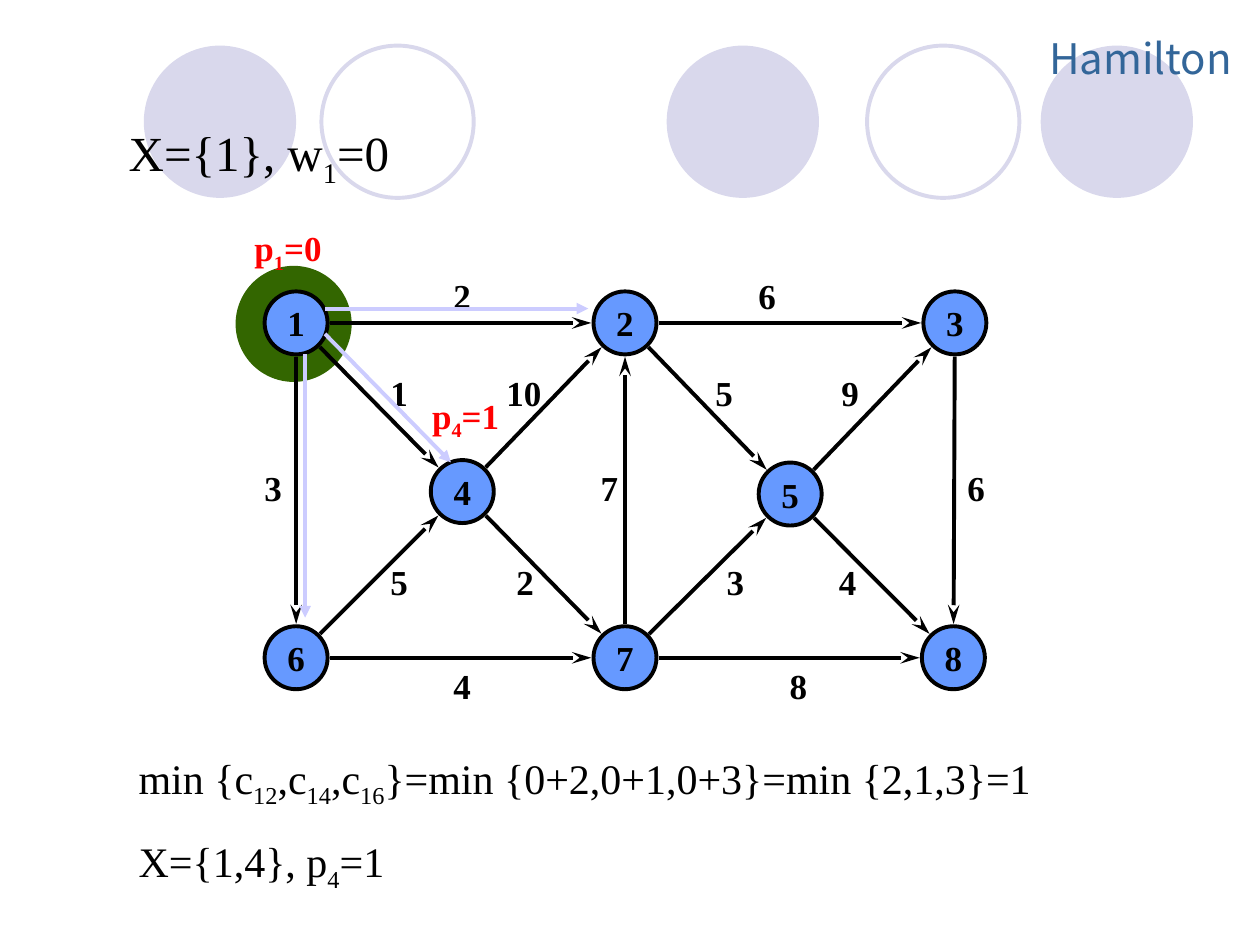
import math

from lxml import etree
from pptx import Presentation
from pptx import util as u
from pptx.dml.color import RGBColor
from pptx.enum import shapes, text
from pptx.oxml.ns import qn

COLORS = {"lilac": "D9D8EC", "brand": "336699", "halo": "336600", "node": "6699FF",
          "ink": "000000", "label": "FF0000", "trace": "CCCCFF"}
SERIF = "Times New Roman"
NODE_SIZE = 1.27
EDGE_TRIM = 0.68
NODES = {1: (0.64, 0.64), 2: (7.27, 0.64), 3: (13.92, 0.64), 4: (3.99, 4.04),
         5: (10.6, 4.09), 6: (0.64, 7.39), 7: (7.27, 7.39), 8: (13.89, 7.39)}
EDGES = [(1, 2, 2, 3.56, -0.46), (2, 3, 6, 9.71, -0.46),
         (1, 4, 1, 2.29, 1.5), (4, 2, 10, 4.63, 1.5),
         (2, 5, 5, 8.84, 1.5), (5, 3, 9, 11.38, 1.5),
         (1, 6, 3, -0.25, 3.4), (7, 2, 7, 6.53, 3.4), (3, 8, 6, 13.92, 3.4),
         (6, 4, 5, 2.29, 5.31), (4, 7, 2, 4.83, 5.31),
         (7, 5, 3, 9.07, 5.31), (5, 8, 4, 11.33, 5.31),
         (6, 7, 4, 3.56, 7.41), (7, 8, 8, 10.34, 7.41)]
TRACES = [((1.22, 0.35), (6.53, 0.35)), ((1.22, 0.86), (3.76, 3.45)),
          ((0.82, 1.27), (0.82, 6.58))]


def rgb(name):
    """Return the named colour."""
    return RGBColor.from_string(COLORS[name])


def write(para, content, size, color="ink", bold=False, face=SERIF):
    """Fill a paragraph; parts between underscores become subscripts."""
    for index, part in enumerate(content.split("_")):
        span = para.add_run()
        span.text = part
        if index % 2:
            span._r.get_or_add_rPr().set("baseline", "-25000")
    para.font.size = u.Pt(size)
    para.font.name = face
    para.font.bold = bold
    para.font.color.rgb = rgb(color)


def add_label(page, left, top, width, height, content, size=20, color="ink",
              bold=True, face=SERIF):
    """Add a one-line text box."""
    box = page.shapes.add_textbox(u.Cm(left), u.Cm(top), u.Cm(width), u.Cm(height))
    box.text_frame.word_wrap = True
    write(box.text_frame.paragraphs[0], content, size, color, bold, face)


def add_circle(page, left, top, size, fill=None, line=None):
    """Add a circle with an optional fill and outline."""
    circle = page.shapes.add_shape(shapes.MSO_SHAPE.OVAL, u.Cm(left), u.Cm(top),
                                   u.Cm(size), u.Cm(size))
    circle.shadow.inherit = False
    if fill:
        circle.fill.solid()
        circle.fill.fore_color.rgb = rgb(fill)
    else:
        circle.fill.background()
    if line:
        circle.line.color.rgb = rgb(line)
        circle.line.width = u.Pt(2.25)
    else:
        circle.line.fill.background()
    return circle


def add_arrow(page, start, end, color, head, length="med"):
    """Add a straight arrow between two points."""
    arrow = page.shapes.add_connector(shapes.MSO_CONNECTOR.STRAIGHT,
                                      *(u.Cm(value) for value in (*start, *end)))
    arrow.line.color.rgb = rgb(color)
    arrow.line.width = u.Pt(2.25)
    properties = arrow.element.spPr
    etree.SubElement(properties.find(qn("a:ln")), qn("a:tailEnd"), type=head, len=length)
    etree.SubElement(properties, qn("a:effectLst"))


def add_header(page, left, top):
    """Place the row of circles and the name above it."""
    for offset in (0, 10.54, 18.08):
        add_circle(page, left + offset, top, 3.07, fill="lilac")
    for offset in (3.58, 14.58):
        add_circle(page, left + offset, top, 3.07, line="lilac")
    add_label(page, left + 18, top - 0.38, 4.4, 0.86, "Hamilton", 24, "brand",
              False, "Noto Sans CJK SC")


def add_statement(page, box, place, lines, size):
    """Move a placeholder to its place, in front, and fill it with plain lines."""
    box.left, box.top, box.width, box.height = (u.Cm(value) for value in place)
    page.shapes.element.append(box.element)
    frame = box.text_frame
    frame.word_wrap = True
    frame.auto_size = text.MSO_AUTO_SIZE.NONE
    frame.vertical_anchor = text.MSO_ANCHOR.TOP
    for index, content in enumerate(lines):
        para = frame.add_paragraph() if index else frame.paragraphs[0]
        para.alignment = text.PP_ALIGN.LEFT
        para.space_before = u.Pt(15 if index else 0)
        properties = para._p.get_or_add_pPr()
        properties.set("marL", "0")
        properties.set("indent", "0")
        etree.SubElement(properties, qn("a:buNone"))
        write(para, content, size)


def add_graph(page, left, top):
    """Draw the weighted graph with its nodes, edges and traced steps."""
    def shift(point):
        """Turn a point of the graph into a point of the page."""
        return left + point[0], top + point[1]

    add_circle(page, *shift((-0.58, -0.51)), 2.34, fill="halo")
    for number, (x, y) in NODES.items():
        corner = shift((x - NODE_SIZE / 2, y - NODE_SIZE / 2))
        frame = add_circle(page, *corner, NODE_SIZE, "node", "ink").text_frame
        frame.word_wrap = False
        frame.vertical_anchor = text.MSO_ANCHOR.MIDDLE
        frame.paragraphs[0].alignment = text.PP_ALIGN.CENTER
        write(frame.paragraphs[0], str(number), 20, bold=True)
    for source, target, weight, x, y in EDGES:
        (x1, y1), (x2, y2) = NODES[source], NODES[target]
        trim = EDGE_TRIM / math.dist(NODES[source], NODES[target])
        dx, dy = (x2 - x1) * trim, (y2 - y1) * trim
        add_arrow(page, shift((x1 + dx, y1 + dy)), shift((x2 - dx, y2 - dy)),
                  "ink", "stealth", "lg")
        add_label(page, *shift((x, y)), 1.27 if weight > 9 else 1.07, 1.12, str(weight))
    add_label(page, *shift((3.13, 1.95)), 2.34, 1.22, "p_4_=1", color="label")
    for start, end in TRACES:
        add_arrow(page, shift(start), shift(end), "trace", "triangle")
    add_label(page, *shift((-0.45, -1.42)), 2.34, 1.22, "p_1_=0", color="label")


def main():
    """Build and save the deck."""
    deck = Presentation()
    deck.slide_width, deck.slide_height = u.Cm(25.4), u.Cm(19.05)
    page = deck.slides.add_slide(deck.slide_layouts[1])
    add_header(page, 2.9, 0.92)
    add_graph(page, 5.33, 5.87)
    add_statement(page, page.shapes.title, (2.34, 2.34, 20.32, 1.6),
                  ["X={1}, w_1_=0"], 28)
    add_statement(page, page.placeholders[1], (2.54, 15.04, 19.69, 3.1),
                  ["min {c_12_,c_14_,c_16_}=min {0+2,0+1,0+3}=min {2,1,3}=1",
                   "X={1,4}, p_4_=1"], 24)
    deck.save("out.pptx")


if __name__ == "__main__":
    main()
